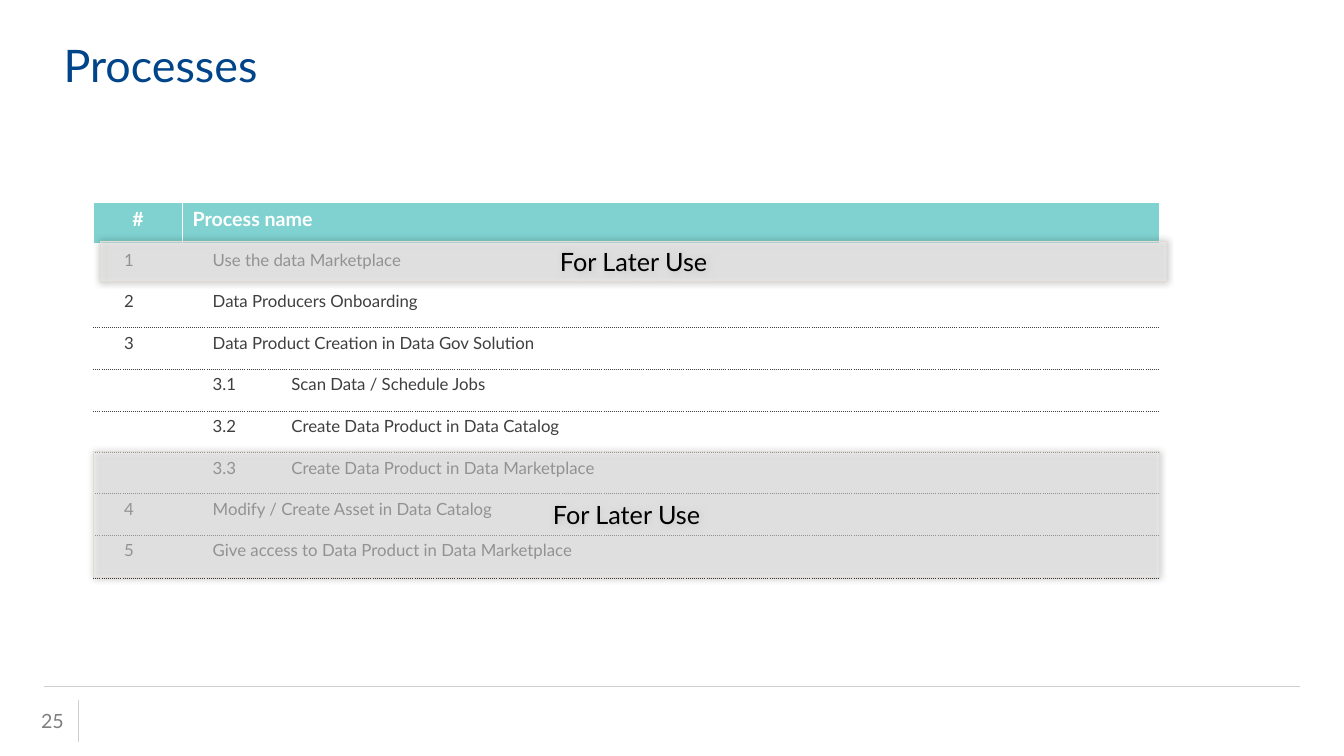
from lxml import etree
from pptx import Presentation
from pptx.dml.color import RGBColor
from pptx.enum.shapes import MSO_CONNECTOR, MSO_SHAPE
from pptx.enum.text import MSO_ANCHOR, PP_ALIGN
from pptx.oxml.ns import qn
from pptx.util import Inches, Pt

STRAIGHT = MSO_CONNECTOR.STRAIGHT
RECTANGLE = MSO_SHAPE.RECTANGLE
MIDDLE, BOTTOM = MSO_ANCHOR.MIDDLE, MSO_ANCHOR.BOTTOM
LEFT, CENTER = PP_ALIGN.LEFT, PP_ALIGN.CENTER

FONT = "Lato"
COLORS = {
    "title": "004489",
    "header": "7FD2D0",
    "white": "FFFFFF",
    "body": "3F3F3F",
    "number": "7F7F7F",
    "rule": "D0CECE",
    "veil": "F2F2F2",
    "veil_edge": "E0DCD3",
    "label": "000000",
}
COLUMN_WIDTHS = [0.88, 0.78, 8.91]
ROW_HEIGHTS = [0.42, 0.41, 0.41, 0.41, 0.42, 0.41, 0.41, 0.41, 0.43]
PROCESSES = [
    ("#", "Process name", ""),
    ("1", "Use the data Marketplace", ""),
    ("2", "Data Producers Onboarding", ""),
    ("3", "Data Product Creation in Data Gov Solution", ""),
    ("", "3.1", "Scan Data / Schedule Jobs"),
    ("", "3.2", "Create Data Product in Data Catalog"),
    ("", "3.3", "Create Data Product in Data Marketplace"),
    ("4", "Modify / Create Asset in Data Catalog", ""),
    ("5", "Give access to Data Product in Data Marketplace", ""),
]
DOTTED = ("body", 0.5, "sysDot")
THIN = ("white", 1, "solid")
THICK = ("white", 3, "solid")


def color(name):
    return RGBColor.from_string(COLORS[name])


def write(frame, text, size, color_name, align=LEFT, bold=False):
    frame.text = text
    paragraph = frame.paragraphs[0]
    paragraph.alignment = align
    for run in paragraph.runs:
        run.font.name = FONT
        run.font.size = Pt(size)
        run.font.bold = bold
        run.font.color.rgb = color(color_name)


def add_color(parent, name, alpha=None):
    element = etree.SubElement(parent, qn("a:srgbClr"), val=COLORS[name])
    if alpha is not None:
        etree.SubElement(element, qn("a:alpha"), val=str(alpha * 1000))


def set_borders(cell, left=None, right=None, top=None, bottom=None):
    properties = cell._tc.get_or_add_tcPr()
    sides = {"a:lnL": left, "a:lnR": right, "a:lnT": top, "a:lnB": bottom}
    for position, (tag, border) in enumerate(sides.items()):
        line = etree.Element(qn(tag))
        properties.insert(position, line)
        if border is None:
            etree.SubElement(line, qn("a:noFill"))
            continue
        name, width, dash = border
        line.set("w", str(Pt(width)))
        add_color(etree.SubElement(line, qn("a:solidFill")), name)
        etree.SubElement(line, qn("a:prstDash"), val=dash)


def add_title(slide, left, top, width, height):
    title = slide.shapes.title
    title.left, title.top = Inches(left), Inches(top)
    title.width, title.height = Inches(width), Inches(height)
    frame = title.text_frame
    frame.margin_left = frame.margin_right = frame.margin_top = 0
    frame.margin_bottom = Inches(0.08)
    frame.vertical_anchor = BOTTOM
    write(frame, "Processes", 32, "title")


def add_rule(slide, x1, y1, x2, y2, width):
    rule = slide.shapes.add_connector(
        STRAIGHT, Inches(x1), Inches(y1), Inches(x2), Inches(y2))
    rule.line.color.rgb = color("rule")
    rule.line.width = Pt(width)
    etree.SubElement(rule._element.spPr, qn("a:effectLst"))


def add_footer(slide, left, top, width):
    add_rule(slide, left + width, top, left, top, 0.5)
    add_rule(slide, left + 0.34, top + 0.13, left + 0.34, top + 0.55, 1)
    number = slide.shapes.add_textbox(
        Inches(left - 0.13), Inches(top + 0.15), Inches(0.47), Inches(0.37))
    number.text_frame.word_wrap = False
    number.text_frame.vertical_anchor = MIDDLE
    write(number.text_frame, "25", 14, "number")


def add_process_table(slide, left, top):
    table = slide.shapes.add_table(
        len(PROCESSES), len(COLUMN_WIDTHS), Inches(left), Inches(top),
        Inches(sum(COLUMN_WIDTHS)), Inches(sum(ROW_HEIGHTS))).table
    table.first_row = table.horz_banding = False
    for column, width in zip(table.columns, COLUMN_WIDTHS):
        column.width = Inches(width)
    for r, (row, texts) in enumerate(zip(table.rows, PROCESSES)):
        row.height = Inches(ROW_HEIGHTS[r])
        if not texts[2]:
            table.cell(r, 1).merge(table.cell(r, 2))
        for c, text in enumerate(texts):
            cell = table.cell(r, c)
            if r == 0:
                cell.fill.solid()
                cell.fill.fore_color.rgb = color("header")
                set_borders(cell, THIN, THIN, THIN, THICK)
                write(cell.text_frame, text, 14, "white",
                      LEFT if c else CENTER, True)
                continue
            cell.fill.background()
            set_borders(cell, left=None if c else THIN,
                        top=DOTTED if r > 2 else THIN,
                        bottom=DOTTED if r > 1 else THIN)
            if text:
                write(cell.text_frame, text, 12, "body")
                indent = cell.text_frame.paragraphs[0]._p.get_or_add_pPr()
                indent.set("marL", str(Inches(0.2)))
                indent.set("indent", "0")


def add_veil(slide, left, top, width, height):
    veil = slide.shapes.add_shape(
        RECTANGLE, Inches(left), Inches(top), Inches(width), Inches(height))
    veil.fill.solid()
    veil.fill.fore_color.rgb = color("veil")
    tint = veil._element.spPr.find(qn("a:solidFill"))[0]
    etree.SubElement(tint, qn("a:alpha"), val="50000")
    veil.line.color.rgb = color("veil_edge")
    veil.line.width = Pt(0.5)
    veil.shadow.inherit = False
    effects = veil._element.spPr.find(qn("a:effectLst"))
    shadow = etree.SubElement(effects, qn("a:outerShdw"), blurRad=str(Pt(5)),
                              dist="0", dir="0", rotWithShape="0")
    add_color(shadow, "label", 40)
    veil.text_frame.vertical_anchor = MIDDLE
    write(veil.text_frame, "For Later Use", 18, "label", CENTER)


def main():
    deck = Presentation()
    deck.slide_width, deck.slide_height = Inches(13.33), Inches(7.5)
    slide = deck.slides.add_slide(deck.slide_layouts[5])
    table_left, table_top = 0.93, 2.01
    table_width = sum(COLUMN_WIDTHS)
    add_footer(slide, 0.44, 6.81, 12.45)
    add_title(slide, 0.63, 0.1, 12.07, 0.89)
    add_process_table(slide, table_left, table_top)
    add_veil(slide, table_left, table_top + sum(ROW_HEIGHTS[:6]) - 0.01,
             table_width, sum(ROW_HEIGHTS[6:]))
    add_veil(slide, table_left + 0.07, table_top + 0.38, table_width, 0.4)
    deck.save("out.pptx")


if __name__ == "__main__":
    main()
